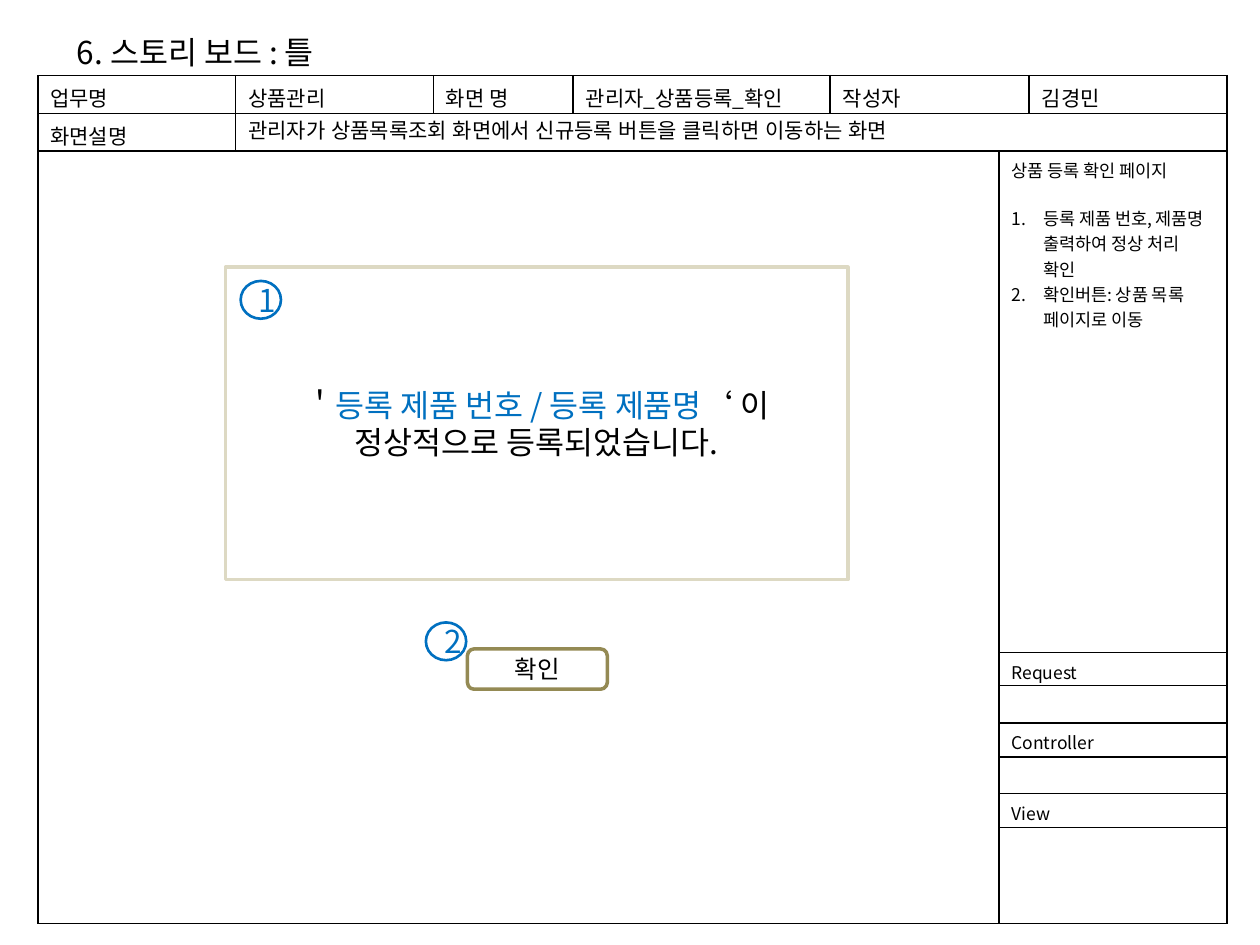
from dataclasses import dataclass
from lxml.etree import SubElement as Sub
from pptx import Presentation
from pptx.dml.color import RGBColor as RGB
from pptx.enum.shapes import MSO_SHAPE as SHAPE
from pptx.enum.text import MSO_ANCHOR as ANCHOR, PP_ALIGN as ALIGN
from pptx.oxml import parse_xml
from pptx.oxml.ns import nsdecls, qn
from pptx.util import Inches as In, Pt


@dataclass(frozen=True)
class Theme:
    """Colours, fonts and type sizes of the slide."""
    ink: str = "000000"
    blue: str = "0070C0"
    sand: str = "DDD9C3"
    olive: str = "948A54"
    font: str = "Noto Sans CJK KR"
    plain: str = "Arial"
    head: int = 18
    label: int = 14
    body: int = 12
    note: int = 10


T = Theme()
COLS = (1.57, 1.57, 1.11, 2.04, 1.34, 0.24, 1.57)
ROWS = (0.3, 0.3, 3.98, 0.26, 0.3, 0.27, 0.29, 0.27, 0.76)
LEFT, TOP = 0.3, 0.6
SPANS = [(0, 4, 0, 5), (1, 1, 1, 6), (2, 0, 8, 4)]
SPANS += [(row, 5, row, 6) for row in range(2, 9)]
HEADS = {
    (0, 0): "업무명", (0, 1): "상품관리", (0, 2): "화면 명",
    (0, 3): "관리자_상품등록_확인", (0, 4): "작성자", (0, 6): "김경민",
    (1, 0): "화면설명",
    (1, 1): "관리자가 상품목록조회 화면에서 신규등록 버튼을 클릭하면 이동하는 화면",
}
NOTES = {(3, 5): "Request", (5, 5): "Controller", (7, 5): "View"}
STEPS = ("등록 제품 번호, 제품명 출력하여 정상 처리 확인",
         "확인버튼: 상품 목록 페이지로 이동")


def put(obj, **vals):
    """Set attributes from format values."""
    for key, val in vals.items():
        setattr(obj, key, val)


def write(para, text, size, color=T.ink, font=T.font):
    """Add one formatted run to a paragraph."""
    run = para.add_run()
    run.text = text
    put(run.font, size=Pt(size), name=font, bold=False)
    run.font.color.rgb = RGB.from_string(color)
    Sub(run.font._element, qn("a:ea"), typeface=font)


def hang(para, size, number=False):
    """Give a paragraph a hanging indent and perhaps a number."""
    props = para._p.get_or_add_pPr()
    props.set("marL", str(In(size)))
    props.set("indent", str(-In(size)))
    if number:
        Sub(props, qn("a:buFont"), typeface="+mj-lt")
        Sub(props, qn("a:buAutoNum"), type="arabicPeriod")


def edge(cell):
    """Draw the four borders of a cell."""
    props = cell._tc.get_or_add_tcPr()
    for spot, side in enumerate("LRTB"):
        props.insert(spot, parse_xml(
            f'<a:ln{side} {nsdecls("a")} w="12700"><a:solidFill>'
            f'<a:srgbClr val="{T.ink}"/></a:solidFill></a:ln{side}>'))


def title(slide):
    """Place the slide title."""
    box = slide.shapes.title
    put(box, left=In(0.51), top=In(0.21), width=In(2.32), height=In(0.71))
    put(box.text_frame, word_wrap=False, vertical_anchor=ANCHOR.TOP)
    para = box.text_frame.paragraphs[0]
    put(para, alignment=ALIGN.LEFT, line_spacing=1.0, space_before=Pt(0))
    hang(para, 0.38)
    write(para, "6. 스토리 보드 : 틀", T.head)


def steps(cell):
    """Write the page notes with their numbered steps."""
    frame = cell.text_frame
    write(frame.paragraphs[0], "상품 등록 확인 페이지", T.note)
    for index, text in enumerate(STEPS):
        para = frame.add_paragraph()
        hang(para, 0.25, True)
        para.space_before = Pt(0 if index else 13)
        write(para, text, T.note)


def grid(slide):
    """Build the storyboard table."""
    table = slide.shapes.add_table(
        len(ROWS), len(COLS), In(LEFT), In(TOP),
        In(sum(COLS)), In(sum(ROWS))).table
    put(table, first_row=False, horz_banding=False)
    for col, width in zip(table.columns, COLS):
        col.width = In(width)
    for row, height in zip(table.rows, ROWS):
        row.height = In(height)
    for top, left, low, right in SPANS:
        table.cell(top, left).merge(table.cell(low, right))
    for cell in table.iter_cells():
        put(cell, margin_top=In(0.05), margin_bottom=0)
        cell.fill.background()
        edge(cell)
        Sub(cell.text_frame.paragraphs[0]._p, qn("a:endParaRPr"),
            sz=str(T.note * 100))
    for texts, size in ((HEADS, T.body), (NOTES, T.note)):
        for (row, col), text in texts.items():
            font = T.plain if (row, col) == (1, 1) else T.font
            para = table.cell(row, col).text_frame.paragraphs[0]
            write(para, text, size, font=font)
    steps(table.cell(2, 5))


def box(slide, kind, area, color, weight, lines, size):
    """Draw an outlined shape with centred lines of coloured text."""
    shape = slide.shapes.add_shape(kind, *map(In, area))
    shape.shadow.inherit = False
    shape.fill.background()
    shape.line.color.rgb = RGB.from_string(color)
    shape.line.width = Pt(weight)
    frame = shape.text_frame
    put(frame, word_wrap=True, vertical_anchor=ANCHOR.MIDDLE)
    for index, runs in enumerate(lines):
        para = frame.add_paragraph() if index else frame.paragraphs[0]
        para.alignment = ALIGN.CENTER
        for text, tint in runs:
            write(para, text, size, tint)


def main():
    """Build and save the slide."""
    deck = Presentation()
    put(deck, slide_width=In(10), slide_height=In(7.5))
    slide = deck.slides.add_slide(deck.slide_layouts[5])
    title(slide)
    grid(slide)
    message = [
        [("＇", T.ink), ("등록 제품 번호 / 등록 제품명", T.blue), ("‘ 이", T.ink)],
        [("정상적으로 등록되었습니다.", T.ink)]]
    box(slide, SHAPE.RECTANGLE, (1.79, 2.12, 4.94, 2.48),
        T.sand, 2, message, T.head)
    box(slide, SHAPE.ROUNDED_RECTANGLE, (3.71, 5.15, 1.11, 0.32),
        T.olive, 2, [[("확인", T.ink)]], T.label)
    for mark, left, top in (("1", 1.91, 2.23), ("2", 3.38, 4.94)):
        box(slide, SHAPE.OVAL, (left, top, 0.32, 0.3),
            T.blue, 1.5, [[(mark, T.blue)]], T.head)
    deck.save("out.pptx")


main()
